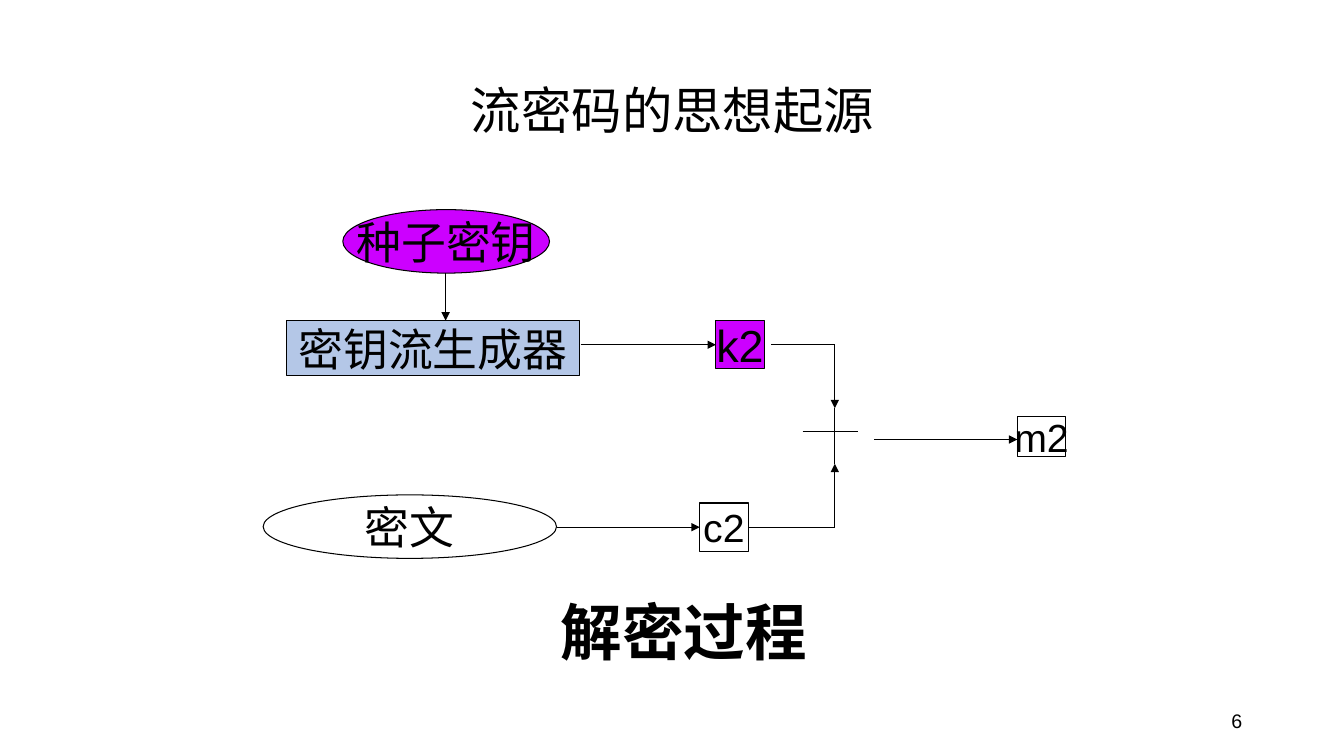
"""Build the slide on the decryption process of a stream cipher."""
from dataclasses import dataclass
from typing import Optional

from lxml.etree import SubElement
from pptx import Presentation
from pptx.dml.color import RGBColor
from pptx.enum.shapes import MSO_CONNECTOR as Connector, MSO_SHAPE as Shape
from pptx.enum.text import MSO_ANCHOR as Anchor, PP_ALIGN as Align
from pptx.oxml.ns import qn
from pptx.util import Inches, Pt

BLACK = RGBColor(0x00, 0x00, 0x00)
WHITE = RGBColor(0xFF, 0xFF, 0xFF)
PURPLE = RGBColor(0xCC, 0x00, 0xFF)
BLUE = RGBColor(0xB4, 0xC7, 0xE7)
LATIN = "Arial"
CJK = "Noto Sans CJK SC"
LINE_WIDTH = Pt(0.75)

KEY_Y, SUM_Y, OUTPUT_Y, CIPHER_Y = 3.42, 4.28, 4.36, 5.23
SEED_X, SUM_X = 4.42, 8.28
SUM_TOP, SUM_BOTTOM = 4.05, 4.6


@dataclass(frozen=True)
class Node:
    """A labelled step of the process."""
    text: str
    left: float
    top: float
    width: float
    height: float
    fill: RGBColor = WHITE
    kind: Shape = Shape.RECTANGLE
    size: int = 32


@dataclass(frozen=True)
class Link:
    """A straight line, optionally with an arrowhead or joined to nodes."""
    x1: float
    y1: float
    x2: float
    y2: float
    arrow: bool = True
    start: Optional[str] = None
    end: Optional[str] = None


NODES = (
    Node("密钥流生成器", 2.84, 3.18, 2.91, 0.55, BLUE),
    Node("种子密钥", 3.4, 2.08, 2.05, 0.63, PURPLE, Shape.OVAL),
    Node("密文", 2.61, 4.91, 2.91, 0.63, kind=Shape.OVAL),
    Node("c2", 6.94, 4.99, 0.48, 0.48, size=28),
    Node("k2", 7.1, 3.18, 0.48, 0.48, PURPLE),
    Node("m2", 10.09, 4.13, 0.48, 0.4, size=28),
)

LINKS = (
    Link(SEED_X, 2.71, SEED_X, 3.18),
    Link(5.76, KEY_Y, 7.1, KEY_Y, end="k2"),
    Link(5.52, CIPHER_Y, 6.94, CIPHER_Y, end="c2"),
    Link(7.65, KEY_Y, SUM_X, KEY_Y, arrow=False),
    Link(7.42, CIPHER_Y, SUM_X, CIPHER_Y, arrow=False, start="c2"),
    Link(SUM_X, KEY_Y, SUM_X, SUM_TOP),
    Link(SUM_X, CIPHER_Y, SUM_X, SUM_BOTTOM),
    Link(7.96, SUM_Y, 8.51, SUM_Y, arrow=False),
    Link(SUM_X, SUM_TOP, SUM_X, SUM_BOTTOM, arrow=False),
    Link(8.67, OUTPUT_Y, 10.09, OUTPUT_Y),
)


def write(shape, text: str, *, size: int, font: str = LATIN, bold: bool = False,
          align: Align = Align.CENTER, anchor: Anchor = Anchor.MIDDLE,
          wrap: bool = True, spacing: float = 1.0) -> None:
    """Put formatted text into a shape."""
    frame = shape.text_frame
    frame.word_wrap = wrap
    frame.vertical_anchor = anchor
    paragraph = frame.paragraphs[0]
    paragraph.alignment = align
    paragraph.line_spacing = spacing
    run = paragraph.add_run()
    run.text = text
    run.font.name = font
    run.font.size = Pt(size)
    run.font.bold = bold
    run.font.color.rgb = BLACK
    SubElement(run.font._element, qn("a:ea"), typeface=CJK)


def place(shape, left: float, top: float, width: float, height: float) -> None:
    """Move and size a shape in inches."""
    shape.left, shape.top = Inches(left), Inches(top)
    shape.width, shape.height = Inches(width), Inches(height)


def draw_node(slide, node: Node):
    """Draw a node and return its shape."""
    shape = slide.shapes.add_shape(
        node.kind, Inches(node.left), Inches(node.top),
        Inches(node.width), Inches(node.height))
    shape.shadow.inherit = False
    shape.fill.solid()
    shape.fill.fore_color.rgb = node.fill
    shape.line.color.rgb = BLACK
    shape.line.width = LINE_WIDTH
    write(shape, node.text, size=node.size, wrap=False)
    return shape


def draw_link(slide, link: Link, shapes: dict) -> None:
    """Draw a link and join it to the nodes it names."""
    line = slide.shapes.add_connector(
        Connector.STRAIGHT, Inches(link.x1), Inches(link.y1),
        Inches(link.x2), Inches(link.y2))
    if link.start:
        line.begin_connect(shapes[link.start], 3)
    if link.end:
        line.end_connect(shapes[link.end], 1)
    line.line.color.rgb = BLACK
    line.line.width = LINE_WIDTH
    if link.arrow:
        SubElement(line.line._get_or_add_ln(), qn("a:tailEnd"), type="triangle")
    SubElement(line._element.spPr, qn("a:effectLst"))


def main() -> None:
    """Build and save the slide."""
    deck = Presentation()
    deck.slide_width, deck.slide_height = Inches(13.33), Inches(7.5)
    slide = deck.slides.add_slide(deck.slide_layouts[5])

    title = slide.shapes.title
    place(title, 0.92, 0.4, 11.5, 1.45)
    write(title, "流密码的思想起源", size=36, font=CJK, spacing=0.9)

    shapes = {node.text: draw_node(slide, node) for node in NODES}
    for link in LINKS:
        draw_link(slide, link, shapes)

    caption = slide.shapes.add_shape(
        Shape.ROUNDED_RECTANGLE, Inches(2.45), Inches(5.84), Inches(8.67), Inches(0.89))
    caption.adjustments[0] = 0.22
    caption.shadow.inherit = False
    caption.fill.background()
    caption.line.fill.background()
    write(caption, "解密过程", size=44, font=CJK, bold=True, anchor=Anchor.BOTTOM)

    page_number = slide.shapes.add_textbox(
        Inches(9.42), Inches(6.95), Inches(3), Inches(0.4))
    write(page_number, "6", size=14, align=Align.RIGHT)

    deck.save("out.pptx")


if __name__ == "__main__":
    main()
